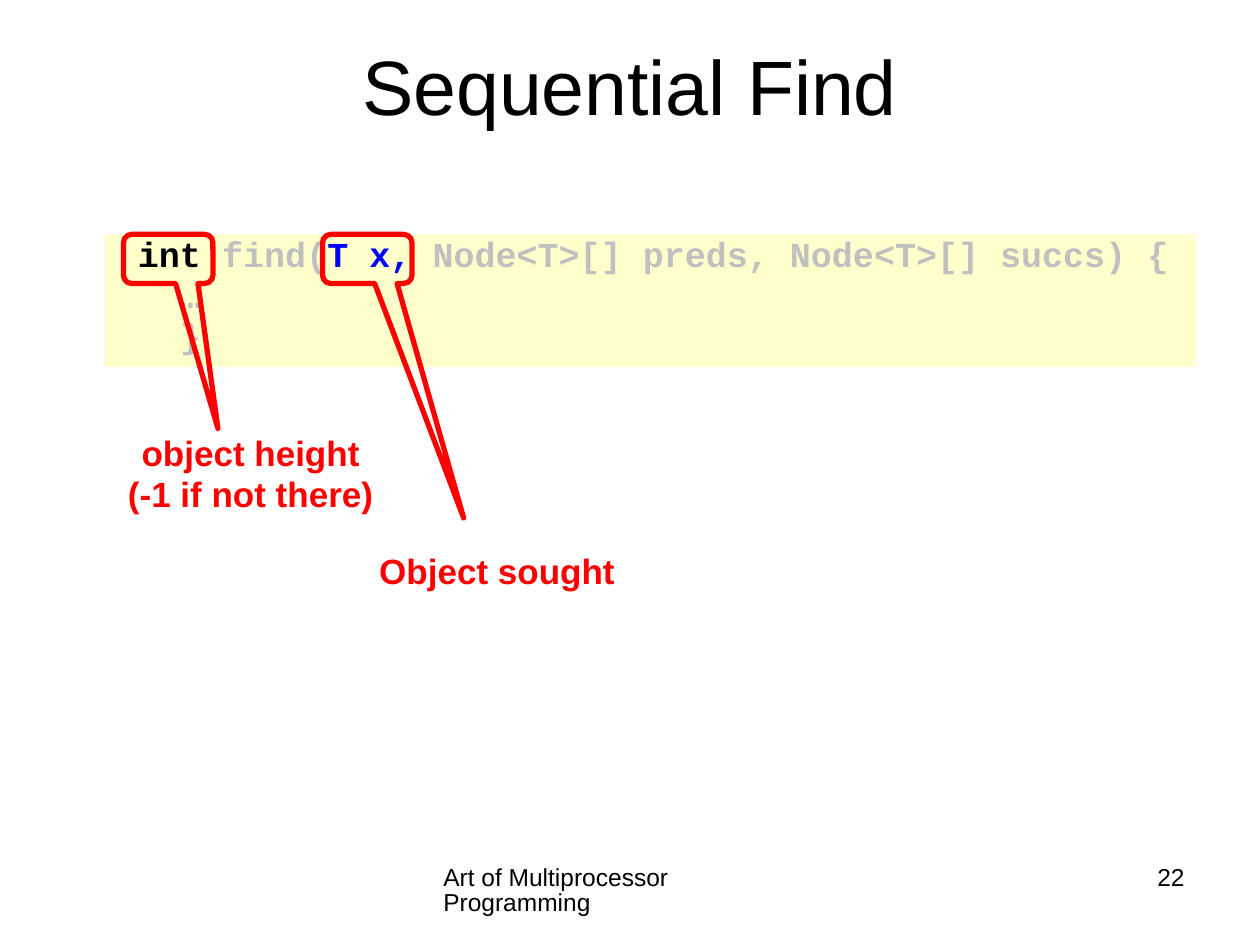
import pptx
import pptx.dml.color
import pptx.enum.shapes
import pptx.enum.text
import pptx.util
from pptx.util import Inches

ALIGN = pptx.enum.text.PP_ALIGN
ANCHOR = pptx.enum.text.MSO_ANCHOR
SHAPE = pptx.enum.shapes.MSO_SHAPE

BLACK, RED, BLUE, GRAY, CREAM = "000000", "FF0000", "0000FF", "C0C0C0", "FFFFCC"


def color(value):
    return pptx.dml.color.RGBColor.from_string(value)


def place(bounds):
    return [Inches(length) for length in bounds]


def write(box, lines, size, font="Arial", bold=False, align=ALIGN.LEFT,
          anchor=ANCHOR.TOP, spacing=1.0, gap=0, wrap=True):
    frame = box.text_frame
    frame.word_wrap = wrap
    frame.vertical_anchor = anchor
    for index, line in enumerate(lines):
        para = frame.add_paragraph() if index else frame.paragraphs[0]
        para.alignment = align
        para.line_spacing = spacing
        para.space_before = pptx.util.Pt(gap if index else 0)
        for text, shade in line:
            span = para.add_run()
            span.text = text
            span.font.name = font
            span.font.size = pptx.util.Pt(size)
            span.font.bold = bold
            span.font.color.rgb = color(shade)


def add_title(page, bounds, text):
    box = page.shapes.add_textbox(*place(bounds))
    write(box, [[(text, BLACK)]], 44, align=ALIGN.CENTER, anchor=ANCHOR.MIDDLE)


def add_code(page, bounds, lines):
    panel = page.shapes.add_shape(SHAPE.RECTANGLE, *place(bounds))
    panel.shadow.inherit = False
    panel.fill.solid()
    panel.fill.fore_color.rgb = color(CREAM)
    panel.line.fill.background()
    write(panel, lines, 20, font="Courier New", bold=True, spacing=0.8, gap=4)


def add_callout(page, bounds, tip, label_bounds, label_lines):
    left, top, width, height = bounds
    callout = page.shapes.add_shape(SHAPE.ROUNDED_RECTANGULAR_CALLOUT, *place(bounds))
    callout.shadow.inherit = False
    callout.fill.background()
    callout.line.color.rgb = color(RED)
    callout.line.width = pptx.util.Pt(3)
    callout.adjustments[0] = (tip[0] - left) / width - 0.5
    callout.adjustments[1] = (tip[1] - top) / height - 0.5
    label = page.shapes.add_textbox(*place(label_bounds))
    write(label, [[(line, RED)] for line in label_lines], 20, bold=True,
          align=ALIGN.CENTER, spacing=0.8, gap=4, wrap=False)


def add_footer(page, bounds, text, align):
    box = page.shapes.add_textbox(*place(bounds))
    write(box, [[(text, BLACK)]], 14, align=align, spacing=0.85)


def main():
    deck = pptx.Presentation()
    deck.slide_width, deck.slide_height = Inches(10), Inches(7.5)
    page = deck.slides.add_slide(deck.slide_layouts[6])

    add_title(page, (0.75, 0.05, 8.5, 1.25), "Sequential Find")
    add_code(page, (0.83, 1.86, 8.66, 1.05), [
        [(" ", BLUE), ("int ", BLACK), ("find(", GRAY), ("T x, ", BLUE),
         ("Node<T>[] preds, Node<T>[] succs) {", GRAY)],
        [("   …", GRAY)],
        [("   }", GRAY)],
    ])
    add_callout(page, (2.56, 1.86, 0.71, 0.39), (3.68, 4.11),
                (2.89, 4.38, 2.11, 0.37), ["Object sought"])
    add_callout(page, (0.98, 1.86, 0.71, 0.39), (1.73, 3.4),
                (0.91, 3.44, 2.16, 0.71), ["object height", "(-1 if not there)"])
    add_footer(page, (3.42, 6.83, 3.17, 0.52),
               "Art of Multiprocessor Programming", ALIGN.LEFT)
    add_footer(page, (7.17, 6.83, 2.33, 0.52), "22", ALIGN.RIGHT)

    deck.save("out.pptx")


if __name__ == "__main__":
    main()
